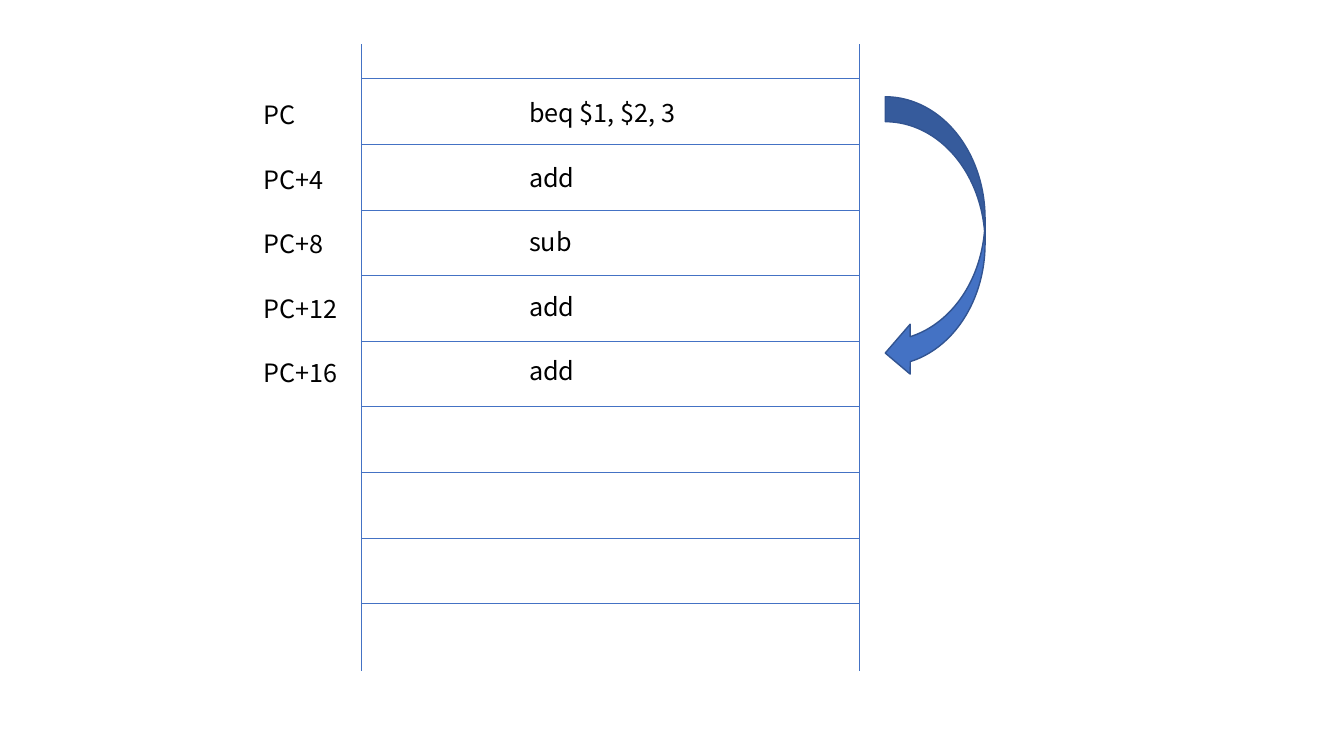
from dataclasses import dataclass
from lxml.etree import SubElement
from pptx import Presentation
from pptx.dml.color import RGBColor
from pptx.enum.shapes import MSO_CONNECTOR as Connector, MSO_SHAPE as Shape
from pptx.enum.text import MSO_AUTO_SIZE as AutoSize
from pptx.oxml.ns import qn
from pptx.util import Inches, Pt


@dataclass(frozen=True)
class Theme:
    font: str = "Noto Sans CJK KR"
    text_size: Pt = Pt(18)
    text: RGBColor = RGBColor(0, 0, 0)
    accent: RGBColor = RGBColor(0x44, 0x72, 0xC4)
    outline: RGBColor = RGBColor(0x32, 0x54, 0x91)
    rule_width: Pt = Pt(0.5)
    outline_width: Pt = Pt(1)


theme = Theme()
presentation = Presentation()
presentation.slide_width = Inches(13.33)
presentation.slide_height = Inches(7.5)
slide = presentation.slides.add_slide(presentation.slide_layouts[6])

memory_left, memory_right = 3.58, 8.52
memory_top, memory_bottom = 0.44, 6.66
first_rule, last_rule, rule_count = 0.78, 5.99, 9
row_height = (last_rule - first_rule) / (rule_count - 1)
text_pitch, text_height = 0.64, 0.4
address_left, address_top = 2.52, 0.94
instruction_left, instruction_top = 5.15, 0.92


def add_rule(x1, y1, x2, y2):
    rule = slide.shapes.add_connector(
        Connector.STRAIGHT, Inches(x1), Inches(y1), Inches(x2), Inches(y2)
    )
    rule.line.color.rgb = theme.accent
    rule.line.width = theme.rule_width
    SubElement(rule._element.spPr, qn("a:effectLst"))


def add_label(text, left, top, width):
    box = slide.shapes.add_textbox(
        Inches(left), Inches(top), Inches(width), Inches(text_height)
    )
    text_frame = box.text_frame
    text_frame.word_wrap = True
    text_frame.auto_size = AutoSize.SHAPE_TO_FIT_TEXT
    text_frame.text = text
    font = text_frame.paragraphs[0].runs[0].font
    font.name = theme.font
    font.size = theme.text_size
    font.color.rgb = theme.text


for x in (memory_left, memory_right):
    add_rule(x, memory_top, x, memory_bottom)

for index in range(rule_count):
    y = first_rule + index * row_height
    add_rule(memory_left, y, memory_right, y)

program = [
    ("PC", "beq $1, $2, 3"),
    ("PC+4", "add"),
    ("PC+8", "sub"),
    ("PC+12", "add"),
    ("PC+16", "add"),
]
for row, (address, instruction) in enumerate(program):
    offset = row * text_pitch
    add_label(instruction, instruction_left, instruction_top + offset, 1.81)
    add_label(address, address_left, address_top + offset, 1.07)

branch_arrow = slide.shapes.add_shape(
    Shape.CURVED_LEFT_ARROW, Inches(8.78), Inches(0.96), Inches(0.99), Inches(2.79)
)
branch_arrow.shadow.inherit = False
branch_arrow.fill.solid()
branch_arrow.fill.fore_color.rgb = theme.accent
branch_arrow.line.color.rgb = theme.outline
branch_arrow.line.width = theme.outline_width

presentation.save("out.pptx")
